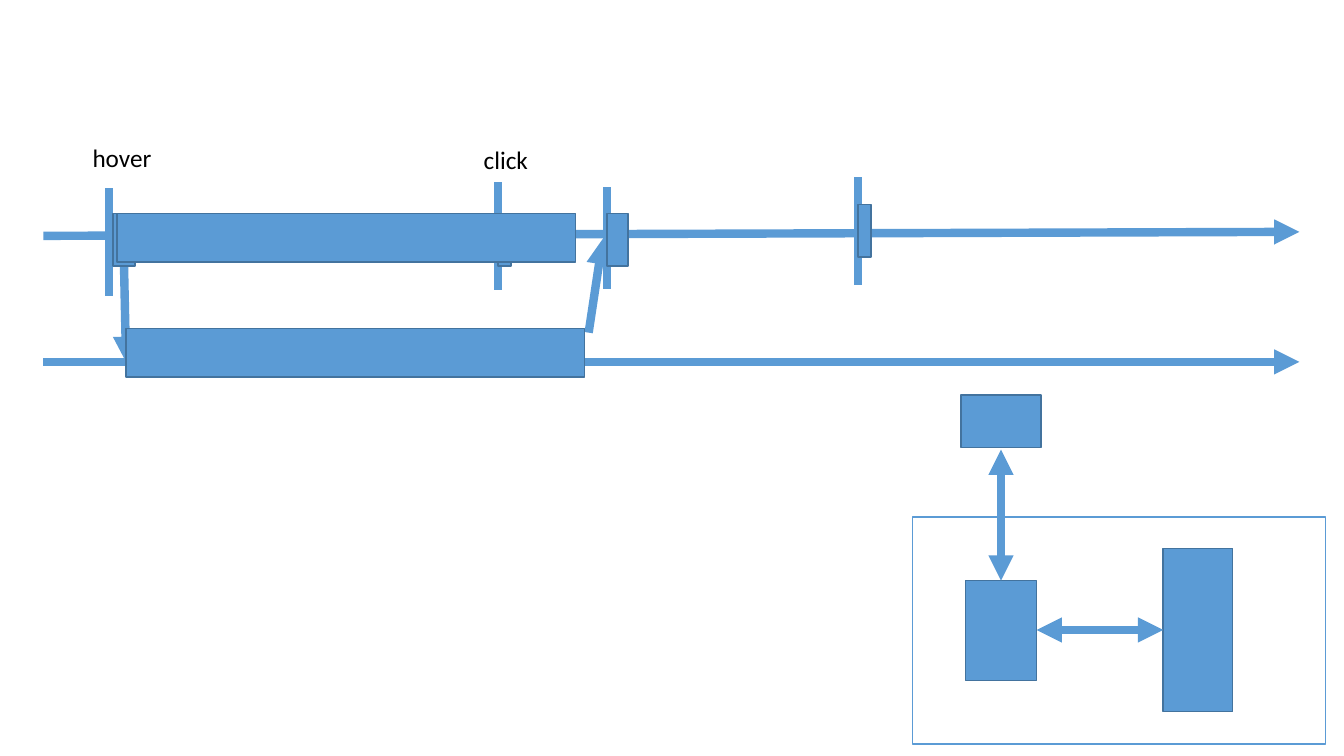
from dataclasses import dataclass

from pptx import Presentation
from pptx.dml.color import RGBColor
from pptx.enum.shapes import MSO_CONNECTOR, MSO_SHAPE
from pptx.enum.text import MSO_AUTO_SIZE
from pptx.oxml.ns import qn
from pptx.util import Inches, Pt
from lxml.etree import SubElement


@dataclass(frozen=True)
class Theme:
    accent: RGBColor = RGBColor(0x5B, 0x9B, 0xD5)
    outline: RGBColor = RGBColor(0x43, 0x73, 0x9E)
    paper: RGBColor = RGBColor(0xFF, 0xFF, 0xFF)
    ink: RGBColor = RGBColor(0, 0, 0)
    font: str = "Calibri"
    label_size: int = 18
    stroke: int = 6
    border: int = 1


class Diagram:
    """Draws on one slide; every length is a percentage of its width or height."""

    def __init__(self, deck, theme):
        self.deck, self.theme = deck, theme
        self.slide = deck.slides.add_slide(deck.slide_layouts[6])

    def place(self, *lengths):
        """Turn alternating horizontal and vertical percentages into lengths."""
        sides = (self.deck.slide_width, self.deck.slide_height) * 2
        return [round(side * share / 100) for side, share in zip(sides, lengths)]

    def box(self, left, top, width, height, fill=None, outline=None):
        block = self.slide.shapes.add_shape(
            MSO_SHAPE.RECTANGLE, *self.place(left, top, width, height))
        block.shadow.inherit = False
        block.fill.solid()
        block.fill.fore_color.rgb = fill or self.theme.accent
        block.line.color.rgb = outline or self.theme.outline
        block.line.width = Pt(self.theme.border)

    def line(self, x1, y1, x2, y2, ends=()):
        """Draw a line; ends names the arrowheads, headEnd before tailEnd."""
        stroke = self.slide.shapes.add_connector(
            MSO_CONNECTOR.STRAIGHT, *self.place(x1, y1, x2, y2))
        stroke.line.color.rgb = self.theme.accent
        stroke.line.width = Pt(self.theme.stroke)
        properties = stroke.line._get_or_add_ln()
        for end in ends:
            SubElement(properties, qn(f"a:{end}"), type="triangle")
        SubElement(stroke._element.spPr, qn("a:effectLst"))

    def arrow(self, *points):
        self.line(*points, ends=("tailEnd",))

    def double_arrow(self, *points):
        self.line(*points, ends=("headEnd", "tailEnd"))

    def tick(self, x, top, height=14.2):
        self.line(x, top, x, top + height)

    def label(self, wording, left, top, width, height):
        caption = self.slide.shapes.add_textbox(
            *self.place(left, top, width, height)).text_frame
        caption.word_wrap = False
        caption.auto_size = MSO_AUTO_SIZE.SHAPE_TO_FIT_TEXT
        paragraph = caption.paragraphs[0]
        paragraph.text = wording
        paragraph.font.name = self.theme.font
        paragraph.font.size = Pt(self.theme.label_size)
        paragraph.font.color.rgb = self.theme.ink


def draw_timelines(diagram):
    start, end = 3.23, 96.68
    hover, click, reply, last = 8.1, 37.05, 45.15, 63.83
    task_top, task_height = 28.27, 6.93
    long_width, long_height = 34.13, 6.4
    lower_axis, lower_start = 47.87, 9.38

    diagram.arrow(start, 31.2, end, 30.67)
    for event, top in ((hover, 24.93), (click, 24.13), (last, 23.47)):
        diagram.tick(event, top)
    for left, top, width in ((8.4, task_top, 1.65), (click, task_top, 0.98),
                             (last, 27.07, 0.98)):
        diagram.box(left, top, width, task_height)
    diagram.label("hover", 6.15, 18.13, 5.93, 5.33)
    diagram.label("click", 35.25, 18.4, 4.88, 5.33)

    diagram.arrow(start, lower_axis, end, lower_axis)
    diagram.arrow(9.23, 35.33, lower_start, lower_axis)
    diagram.box(8.7, task_top, long_width, long_height)
    diagram.arrow(43.8, 44, 44.85, 31.6)
    diagram.tick(reply, 24.8, 13.47)
    diagram.box(reply, task_top, 1.58, task_height)
    diagram.box(lower_start, 43.47, long_width, long_height)


def draw_components(diagram):
    middle_x, middle_y = 74.48, 83.33
    inner_width, inner_height = 5.3, 13.2
    inner_left, inner_top = middle_x - inner_width / 2, middle_y - 6.53
    tall_left, tall_height = 86.55, 21.6
    outer_width = 5.93

    diagram.box(67.88, 68.4, 30.75, 30, diagram.theme.paper, diagram.theme.accent)
    diagram.box(inner_left, inner_top, inner_width, inner_height)
    diagram.box(tall_left, middle_y - tall_height / 2, 5.18, tall_height)
    diagram.double_arrow(inner_left + inner_width, middle_y, tall_left, middle_y)
    diagram.double_arrow(middle_x, inner_top, middle_x, 59.47)
    diagram.box(middle_x - outer_width / 2, 52.27, outer_width, 6.93)


def main():
    deck = Presentation()
    deck.slide_width, deck.slide_height = Inches(13.33), Inches(7.5)
    diagram = Diagram(deck, Theme())
    draw_components(diagram)
    draw_timelines(diagram)
    deck.save("out.pptx")


if __name__ == "__main__":
    main()
